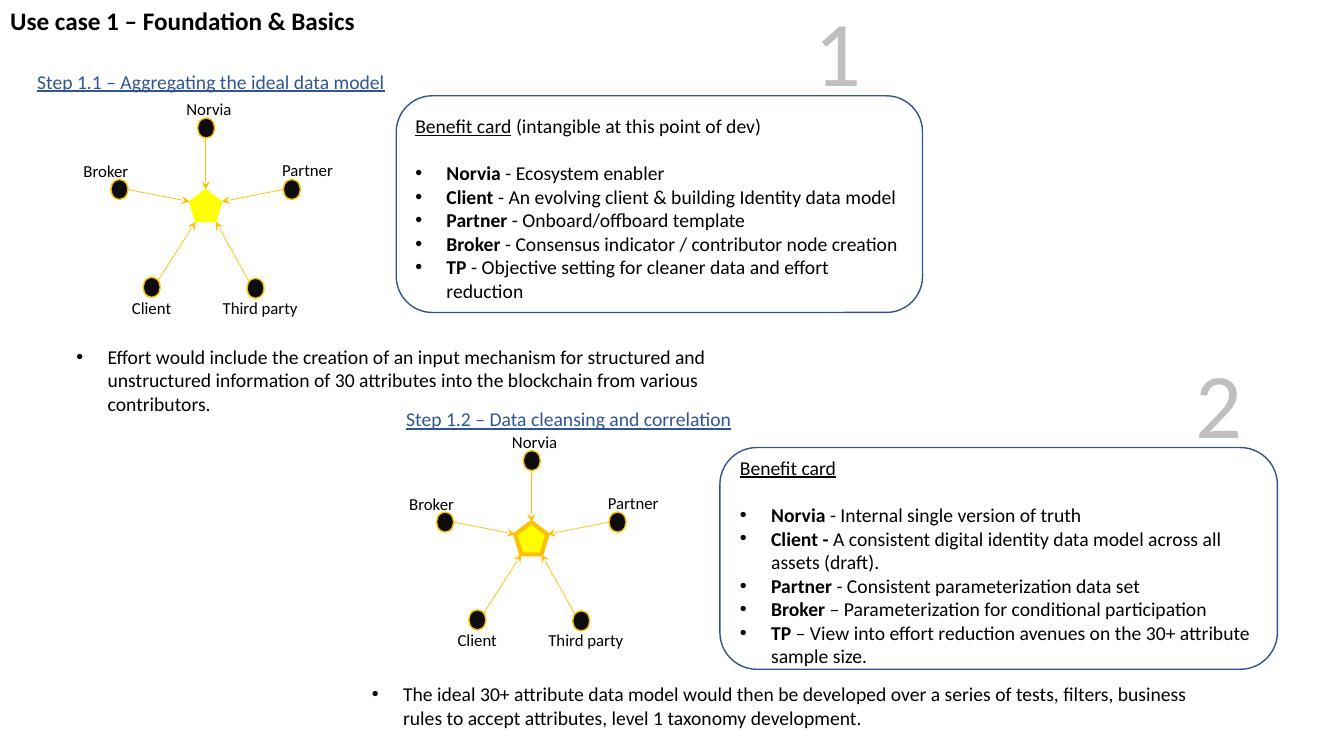
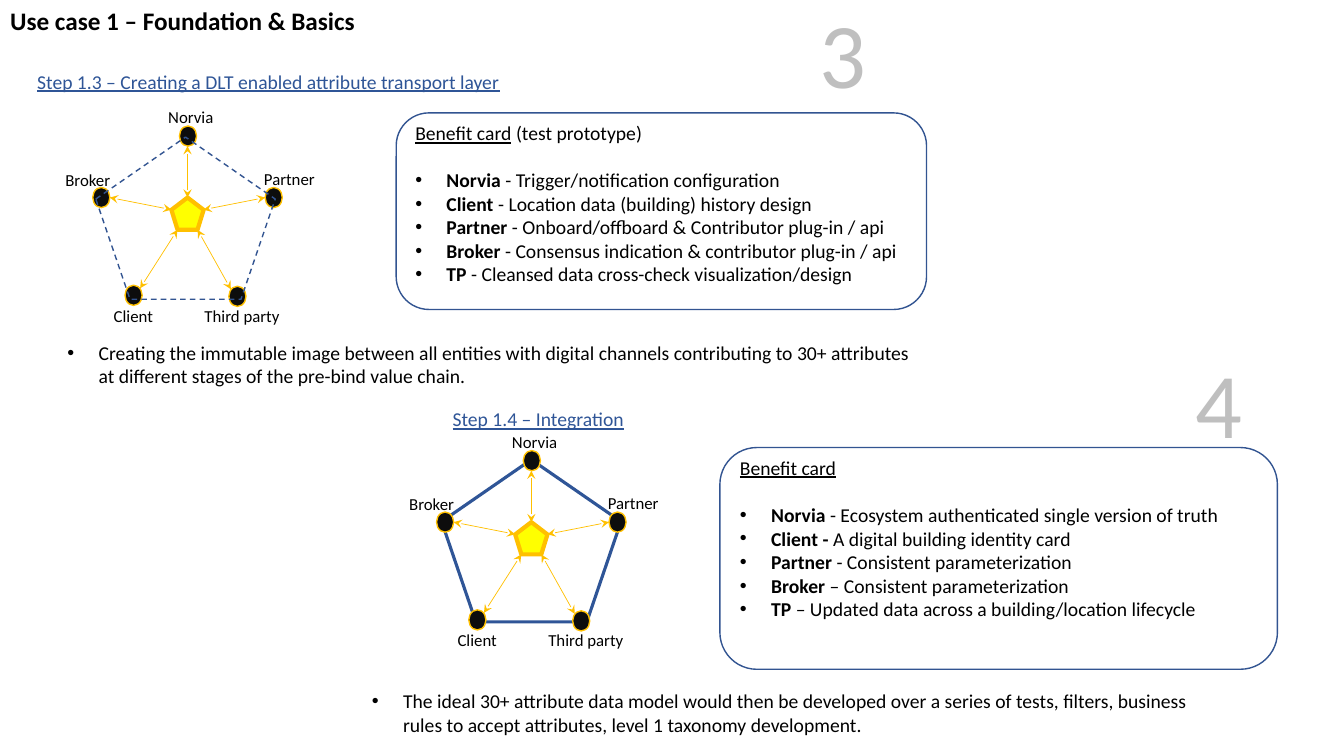
from dataclasses import dataclass
from typing import NamedTuple, Optional

from lxml.etree import SubElement
from pptx import Presentation
from pptx.dml.color import RGBColor
from pptx.enum.dml import MSO_LINE
from pptx.enum.shapes import MSO_CONNECTOR, MSO_SHAPE
from pptx.enum.text import MSO_ANCHOR, MSO_AUTO_SIZE, PP_ALIGN
from pptx.oxml.ns import qn
from pptx.util import Inches, Pt

FONT = "Calibri"
BLACK = "000000"
DOT = "0D0D0D"
GOLD = "FFC000"
YELLOW = "FFFF00"
HEADING_BLUE = "2F5597"
CARD_BLUE = "325491"
NUMBER_GREY = "BFBFBF"
BULLET_INDENT = 0.31
TITLE = "Use case 1 – Foundation & Basics"


class Box(NamedTuple):
    """Left, top, width and height in inches."""
    left: float
    top: float
    width: float
    height: float

    def moved(self, left: float, top: float) -> "Box":
        """Return the box shifted by the given distances."""
        return Box(self.left + left, self.top + top, self.width, self.height)

    def lengths(self) -> list:
        """Return the four values as lengths."""
        return [Inches(value) for value in self]


class Party(NamedTuple):
    """A contributor; all places are relative to the hub's top left corner."""
    name: str
    dot: Box
    label: Box
    arrow_from: tuple[float, float]
    arrow_to: tuple[float, float]


class Ring(NamedTuple):
    """The pentagon that joins the outer dots."""
    box: Box
    color: str
    width: float
    dashed: bool


class Benefit(NamedTuple):
    """One card line: bold lead and plain text."""
    lead: str
    text: str


@dataclass
class Step:
    """One numbered step with its network, benefit card and effort note."""
    number: str
    number_box: Box
    heading: str
    heading_box: Box
    hub: tuple[float, float]
    card: Box
    card_text: Box
    benefits: list[Benefit]
    effort: str
    effort_box: Box
    card_note: str = ""
    hub_color: str = GOLD
    hub_line: float = 3
    two_way: bool = False
    ring: Optional[Ring] = None


DOT_SIZE = (0.17, 0.2)
LABEL_SIZE = (0.76, 0.3)
PARTIES = [
    Party("Norvia", Box(0.08, -0.71, *DOT_SIZE), Box(-0.13, -0.95, *LABEL_SIZE),
          (0.16, 0), (0.16, -0.51)),
    Party("Partner", Box(0.93, -0.1, *DOT_SIZE), Box(0.82, -0.34, *LABEL_SIZE),
          (0.32, 0.12), (0.93, 0)),
    Party("Broker", Box(-0.78, -0.1, *DOT_SIZE), Box(-1.15, -0.33, *LABEL_SIZE),
          (0, 0.12), (-0.61, 0)),
    Party("Client", Box(-0.46, 0.87, *DOT_SIZE), Box(-0.67, 1.02, *LABEL_SIZE),
          (0.06, 0.32), (-0.31, 0.9)),
    Party("Third party", Box(0.57, 0.88, *DOT_SIZE), Box(0.23, 1.02, 1.03, 0.3),
          (0.26, 0.32), (0.59, 0.91)),
]

LOWER_HUB = (5.11, 5.18)
LOWER_NUMBER = Box(11.76, 3.38, 0.82, 1.21)
LOWER_CARD = Box(7.14, 4.44, 5.53, 2.2)
LOWER_EFFORT = (
    "The ideal 30+ attribute data model would then be developed over a series of tests, "
    "filters, business rules to accept attributes, level 1 taxonomy development.")

SLIDES = [
    [
        Step("1", Box(7.98, -0.11, 0.82, 1.21),
             "Step 1.1 – Aggregating the ideal data model", Box(0.27, 0.64, 3.75, 0.34),
             (1.88, 1.88), Box(3.93, 0.95, 5.22, 2.15), Box(4.02, 1.08, 5.01, 1.99),
             [Benefit("Norvia ", "- Ecosystem enabler"),
              Benefit("Client ", "- An evolving client & building Identity data model"),
              Benefit("Partner", " - Onboard/offboard template"),
              Benefit("Broker ", "- Consensus indicator / contributor node creation"),
              Benefit("TP ", "- Objective setting for cleaner data and effort reduction")],
             "Effort would include the creation of an input mechanism for structured and "
             "unstructured information of 30 attributes into the blockchain from various "
             "contributors.",
             Box(0.66, 3.37, 7.27, 0.81),
             card_note=" (intangible at this point of dev)", hub_color=YELLOW, hub_line=1),
        Step("2", LOWER_NUMBER,
             "Step 1.2 – Data cleansing and correlation", Box(3.93, 3.99, 3.75, 0.34),
             LOWER_HUB, LOWER_CARD, Box(7.24, 4.47, 5.33, 2.22),
             [Benefit("Norvia ", "- Internal single version of truth"),
              Benefit("Client - ", "A consistent digital identity data model across all "
                                   "assets (draft)."),
              Benefit("Partner", " - Consistent parameterization data set"),
              Benefit("Broker ", "– Parameterization for conditional participation"),
              Benefit("TP ", "– View into effort reduction avenues on the 30+ attribute "
                             "sample size.")],
             LOWER_EFFORT, Box(3.59, 6.72, 8.43, 0.57)),
    ],
    [
        Step("3", Box(8.03, -0.09, 0.82, 1.21),
             "Step 1.3 – Creating a DLT enabled attribute transport layer",
             Box(0.27, 0.64, 4.84, 0.34),
             (1.7, 1.96), Box(3.93, 1.12, 5.26, 1.95), Box(4.02, 1.15, 5.01, 1.75),
             [Benefit("Norvia ", "- Trigger/notification configuration"),
              Benefit("Client ", "- Location data (building) history design"),
              Benefit("Partner", " - Onboard/offboard & Contributor plug-in / api"),
              Benefit("Broker ", "- Consensus indication & contributor plug-in / api"),
              Benefit("TP ", "- Cleansed data cross-check visualization/design")],
             "Creating the immutable image between all entities with digital channels "
             "contributing to 30+ attributes at different stages of the pre-bind value chain.",
             Box(0.57, 3.33, 8.61, 0.57), card_note=" (test prototype)", two_way=True,
             ring=Ring(Box(0.95, 1.36, 1.78, 1.61), CARD_BLUE, 1, True)),
        Step("4", LOWER_NUMBER, "Step 1.4 – Integration", Box(4.39, 3.99, 3.75, 0.34),
             LOWER_HUB, LOWER_CARD, Box(7.24, 4.47, 5.33, 1.75),
             [Benefit("Norvia ", "- Ecosystem authenticated single version of truth"),
              Benefit("Client - ", "A digital building identity card"),
              Benefit("Partner", " - Consistent parameterization"),
              Benefit("Broker ", "– Consistent parameterization"),
              Benefit("TP ", "– Updated data across a building/location lifecycle")],
             LOWER_EFFORT, Box(3.59, 6.79, 8.43, 0.57), two_way=True,
             ring=Ring(Box(4.38, 4.56, 1.78, 1.61), HEADING_BLUE, 2.25, False)),
    ],
]


def rgb(color: str) -> RGBColor:
    """Turn a hex string into a colour."""
    return RGBColor.from_string(color)


def add_run(paragraph, text: str, *, size: float = 14, color: str = BLACK,
            bold: bool = False, underline: bool = False) -> None:
    """Append one formatted run to a paragraph."""
    run = paragraph.add_run()
    run.text = text
    run.font.name = FONT
    run.font.size = Pt(size)
    run.font.bold = bold
    run.font.underline = underline
    run.font.color.rgb = rgb(color)


def add_text_box(slide, box: Box):
    """Add an empty wrapping text box and return its text frame."""
    frame = slide.shapes.add_textbox(*box.lengths()).text_frame
    frame.word_wrap = True
    frame.auto_size = MSO_AUTO_SIZE.SHAPE_TO_FIT_TEXT
    return frame


def add_text(slide, box: Box, text: str, **run_format) -> None:
    """Add a text box with a single run."""
    add_run(add_text_box(slide, box).paragraphs[0], text, **run_format)


def set_bullet(paragraph) -> None:
    """Give a paragraph a round bullet with a hanging indent."""
    properties = paragraph._p.get_or_add_pPr()
    properties.set("marL", str(Inches(BULLET_INDENT)))
    properties.set("indent", str(-Inches(BULLET_INDENT)))
    SubElement(properties, qn("a:buFont")).set("typeface", "Arial")
    SubElement(properties, qn("a:buChar")).set("char", "•")


def add_preset(slide, preset: MSO_SHAPE, box: Box, *, line: str, width: float = 1,
               fill: Optional[str] = None, dashed: bool = False) -> None:
    """Add a preset shape with an outline and an optional fill."""
    shape = slide.shapes.add_shape(preset, *box.lengths())
    shape.shadow.inherit = False
    if fill:
        shape.fill.solid()
        shape.fill.fore_color.rgb = rgb(fill)
    else:
        shape.fill.background()
    shape.line.color.rgb = rgb(line)
    shape.line.width = Pt(width)
    if dashed:
        shape.line.dash_style = MSO_LINE.DASH


def add_arrow(slide, start: tuple[float, float], end: tuple[float, float],
              two_way: bool) -> None:
    """Add a thin arrow pointing at its start, or at both ends."""
    connector = slide.shapes.add_connector(
        MSO_CONNECTOR.STRAIGHT, *(Inches(value) for value in (*start, *end)))
    connector.line.color.rgb = rgb(GOLD)
    connector.line.width = Pt(0.5)
    outline = connector.line._get_or_add_ln()
    for tag in ("a:headEnd", "a:tailEnd") if two_way else ("a:headEnd",):
        SubElement(outline, qn(tag)).set("type", "stealth")
    SubElement(connector._element.spPr, qn("a:effectLst"))


def add_ring(slide, ring: Ring) -> None:
    """Draw the pentagon through the outer dots."""
    add_preset(slide, MSO_SHAPE.REGULAR_PENTAGON, ring.box, line=ring.color,
               width=ring.width, dashed=ring.dashed)


def add_network(slide, step: Step) -> None:
    """Draw the hub, its parties, the arrows and the ring."""
    left, top = step.hub
    if step.ring and not step.ring.dashed:
        add_ring(slide, step.ring)
    for party in PARTIES:
        add_preset(slide, MSO_SHAPE.OVAL, party.dot.moved(left, top), fill=DOT, line=GOLD)
        add_text(slide, party.label.moved(left, top), party.name, size=12)
    add_preset(slide, MSO_SHAPE.REGULAR_PENTAGON, Box(left, top, 0.32, 0.32), fill=YELLOW,
               line=step.hub_color, width=step.hub_line)
    for party in PARTIES:
        start, end = ((left + x, top + y) for x, y in (party.arrow_from, party.arrow_to))
        add_arrow(slide, start, end, step.two_way)
    if step.ring and step.ring.dashed:
        add_ring(slide, step.ring)


def add_card(slide, step: Step) -> None:
    """Draw the rounded benefit card and its list."""
    add_preset(slide, MSO_SHAPE.ROUNDED_RECTANGLE, step.card, line=CARD_BLUE)
    frame = add_text_box(slide, step.card_text)
    heading = frame.paragraphs[0]
    add_run(heading, "Benefit card", underline=True)
    if step.card_note:
        add_run(heading, step.card_note)
    heading.space_after = Pt(17)
    for benefit in step.benefits:
        paragraph = frame.add_paragraph()
        set_bullet(paragraph)
        add_run(paragraph, benefit.lead, bold=True)
        add_run(paragraph, benefit.text)


def add_step(slide, step: Step) -> None:
    """Draw everything that belongs to one step."""
    add_text(slide, step.heading_box, step.heading, color=HEADING_BLUE, underline=True)
    add_network(slide, step)
    add_card(slide, step)
    effort = add_text_box(slide, step.effort_box).paragraphs[0]
    set_bullet(effort)
    add_run(effort, step.effort)
    add_text(slide, step.number_box, step.number, size=66, color=NUMBER_GREY)


def set_title(slide) -> None:
    """Place and format the title placeholder."""
    title = slide.shapes.title
    title.left, title.top, title.width, title.height = Box(0, 0, 5.38, 0.4).lengths()
    frame = title.text_frame
    frame.word_wrap = True
    frame.auto_size = MSO_AUTO_SIZE.SHAPE_TO_FIT_TEXT
    frame.vertical_anchor = MSO_ANCHOR.TOP
    frame.paragraphs[0].alignment = PP_ALIGN.LEFT
    add_run(frame.paragraphs[0], TITLE, size=18, bold=True)


def build() -> None:
    """Build and save the presentation."""
    presentation = Presentation()
    presentation.slide_width = Inches(13.33)
    presentation.slide_height = Inches(7.5)
    for steps in SLIDES:
        slide = presentation.slides.add_slide(presentation.slide_layouts[5])
        set_title(slide)
        for step in steps:
            add_step(slide, step)
    presentation.save("out.pptx")


build()
